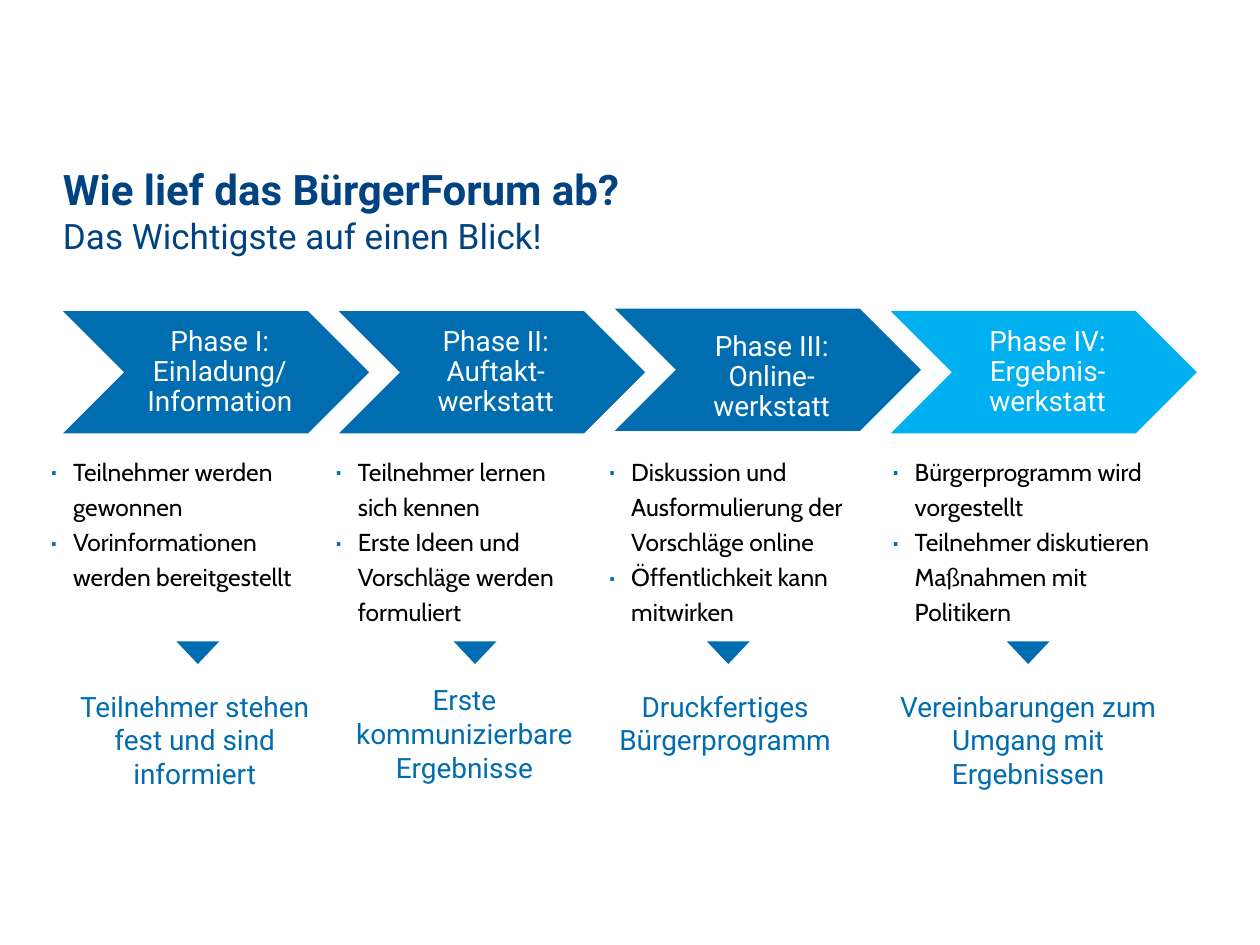
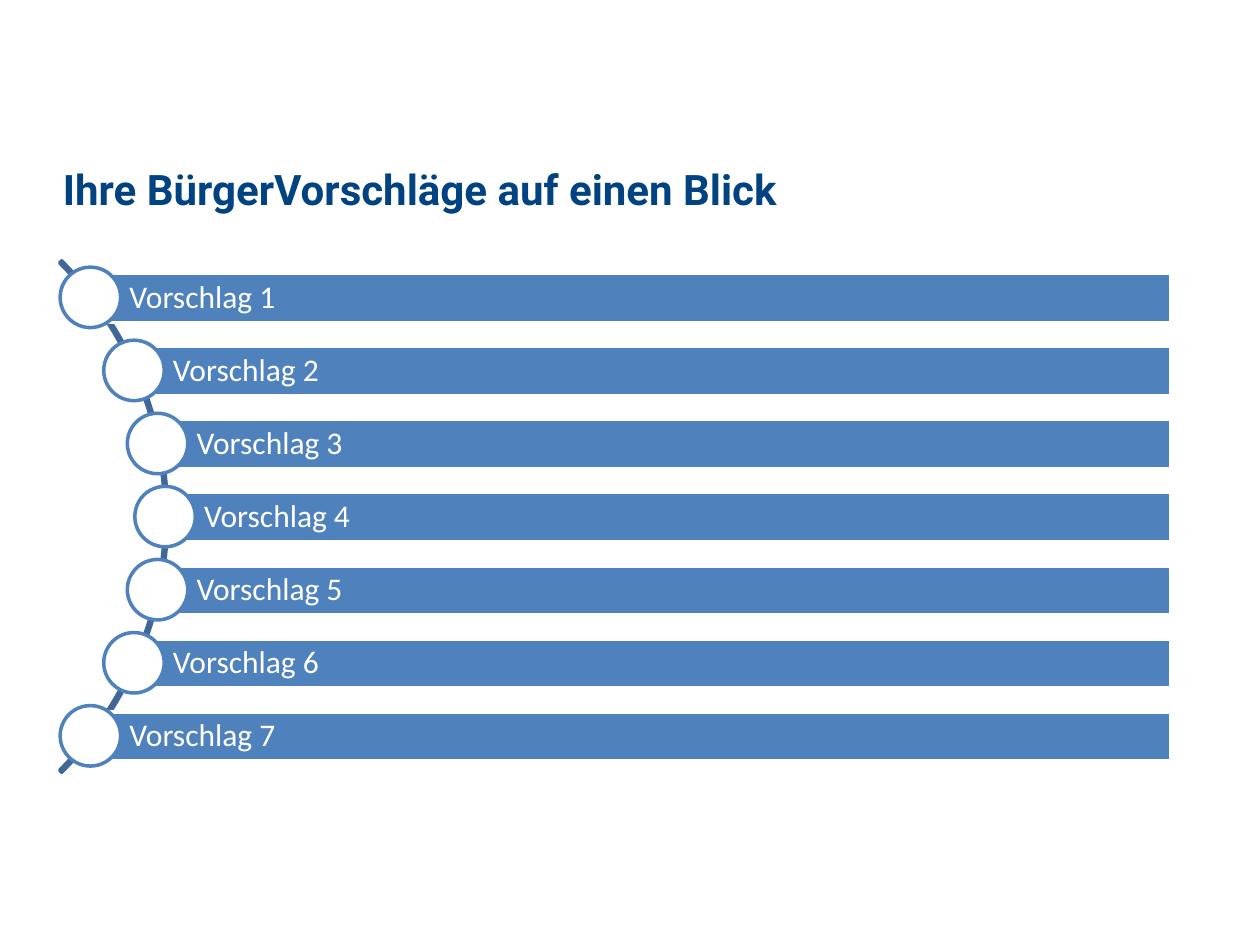
from math import sqrt

from lxml import etree
from pptx import Presentation
from pptx.dml.color import RGBColor
from pptx.enum import shapes, text
from pptx.oxml import ns
from pptx.util import Inches, Pt

NAVY, BLUE, SKY = "004380", "006DB0", "00B0F0"
STEEL, DARK = "4F81BD", "3F6797"
WHITE, BLACK = "FFFFFF", "000000"
HEAD, BODY, LIST = "Roboto", "Calibri", "Cabin"
KIND = shapes.MSO_SHAPE
ALIGN = text.PP_ALIGN
ANCHOR = text.MSO_ANCHOR


def color(code):
    return RGBColor.from_string(code)


def add_dot(para):
    props = para._p.get_or_add_pPr()
    props.set("marL", str(Inches(0.2)))
    props.set("indent", str(Inches(-0.2)))
    tint = etree.SubElement(props, ns.qn("a:buClr"))
    etree.SubElement(tint, ns.qn("a:srgbClr"), val=BLUE)
    etree.SubElement(props, ns.qn("a:buSzPct"), val="150000")
    etree.SubElement(props, ns.qn("a:buFont"), typeface="Arial")
    etree.SubElement(props, ns.qn("a:buChar"), char="·")


def write(frame, words, size=16, font=HEAD, hue=BLUE, bold=False,
          align=ALIGN.LEFT, space=None, dot=False):
    first = frame.paragraphs[0]
    para = frame.add_paragraph() if first.runs else first
    para.alignment = align
    if space:
        para.line_spacing = space
    if dot:
        add_dot(para)
    run = para.add_run()
    run.text = words
    run.font.size = Pt(size)
    run.font.name = font
    run.font.bold = bold
    run.font.color.rgb = color(hue)


class Deck:
    def __init__(self):
        self.file = Presentation()
        self.file.slide_width = Inches(10)
        self.file.slide_height = Inches(7.5)
        self.slide = None

    def start(self, title, subtitle=None):
        self.slide = self.file.slides.add_slide(self.file.slide_layouts[6])
        frame = self.box(0.5, 1.3, 9, 0.74)
        write(frame, title, size=24, hue=NAVY, bold=True)
        if subtitle:
            write(frame, subtitle, size=20, hue=NAVY)

    def setup(self, frame, pads, anchor):
        frame.word_wrap = True
        frame.vertical_anchor = anchor
        (frame.margin_left, frame.margin_top,
         frame.margin_right, frame.margin_bottom) = map(Inches, pads)
        return frame

    def box(self, x, y, w, h, pads=(0, 0, 0, 0), anchor=ANCHOR.TOP):
        area = map(Inches, (x, y, w, h))
        frame = self.slide.shapes.add_textbox(*area).text_frame
        return self.setup(frame, pads, anchor)

    def shape(self, kind, x, y, w, h, fill=None, line=None):
        area = map(Inches, (x, y, w, h))
        item = self.slide.shapes.add_shape(kind, *area)
        item.shadow.inherit = False
        if fill:
            item.fill.solid()
            item.fill.fore_color.rgb = color(fill)
        else:
            item.fill.background()
        if line:
            item.line.color.rgb = color(line)
            item.line.width = Pt(2)
        else:
            item.line.fill.background()
        return item

    def phase(self, x, y, label, fill, drop=0):
        self.shape(KIND.CHEVRON, x, y, 2.43, 0.97, fill)
        frame = self.box(x + 0.49, y + drop, 1.46, 0.97,
                         (0.07, 0.02, 0.02, 0.02), ANCHOR.MIDDLE)
        write(frame, label, hue=WHITE, align=ALIGN.CENTER, space=0.9)

    def points(self, x, w, items):
        frame = self.box(x, 3.58, w, 1.4)
        for item in items:
            write(frame, item, size=14, font=LIST, hue=BLACK,
                  space=Pt(20), dot=True)

    def result(self, x, y, w, words):
        write(self.box(x, y, w, 0.81), words, align=ALIGN.CENTER)

    def marker(self, x):
        self.shape(KIND.ISOSCELES_TRIANGLE, x, 5.09, 0.34, 0.18, BLUE).rotation = 180

    def bar(self, x, y, label):
        item = self.shape(KIND.RECTANGLE, x, y, 9.29 - x, 0.39, STEEL, WHITE)
        frame = self.setup(item.text_frame, (0.31, 0.05, 0.05, 0.05), ANCHOR.MIDDLE)
        write(frame, label, size=18, font=BODY, hue=WHITE, space=0.9)
        self.shape(KIND.OVAL, x - 0.24, y - 0.05, 0.48, 0.48, WHITE, STEEL)

    def arc(self, x, y, size):
        item = self.shape(KIND.BLOCK_ARC, x, y, size, size, line=DARK)
        for spot, value in enumerate((189, 27, 0.004)):
            item.adjustments[spot] = value


PHASES = [
    dict(label="Phase I: Einladung/ Information",
         points=(0.38, 2.07, ["Teilnehmer werden gewonnen",
                              "Vorinformationen werden bereitgestellt"]),
         mark=1.4,
         result=(0.5, 5.47, 2.09, "Teilnehmer stehen fest und sind informiert")),
    dict(label="Phase II: Auftakt-werkstatt",
         points=(2.64, 1.95, ["Teilnehmer lernen sich kennen",
                              "Erste Ideen und Vorschläge werden formuliert"]),
         mark=3.6,
         result=(2.64, 5.42, 2.09, "Erste kommunizierbare Ergebnisse")),
    dict(label="Phase III: Online-werkstatt", top=2.45, drop=0.06,
         points=(4.81, 2.02, ["Diskussion und Ausformulierung der Vorschläge online",
                              "Öffentlichkeit kann mitwirken"]),
         mark=5.61,
         result=(4.81, 5.47, 1.89, "Druckfertiges Bürgerprogramm")),
    dict(label="Phase IV: Ergebnis-werkstatt", fill=SKY,
         points=(7.06, 2.29, ["Bürgerprogramm wird vorgestellt",
                              "Teilnehmer diskutieren Maßnahmen mit Politikern"]),
         mark=7.99,
         result=(7.1, 5.47, 2.12, "Vereinbarungen zum Umgang mit Ergebnissen")),
]


def show_phases(deck):
    deck.start("Wie lief das BürgerForum ab?", "Das Wichtigste auf einen Blick!")
    for step, phase in enumerate(PHASES):
        deck.phase(0.5 + 2.19 * step, phase.get("top", 2.47), phase["label"],
                   phase.get("fill", BLUE), phase.get("drop", 0))
        deck.points(*phase["points"])
        deck.marker(phase["mark"])
        deck.result(*phase["result"])


def show_ideas(deck):
    deck.start("Ihre BürgerVorschläge auf einen Blick")
    deck.arc(-4.41, 1.23, 5.74)
    for row in range(7):
        rise = 0.58 * (row - 3)
        x = sqrt(2.85 ** 2 - rise ** 2) - 1.54
        deck.bar(x, 3.91 + rise, f"Vorschlag {row + 1}")


def main():
    deck = Deck()
    show_phases(deck)
    show_ideas(deck)
    deck.file.save("out.pptx")


if __name__ == "__main__":
    main()
